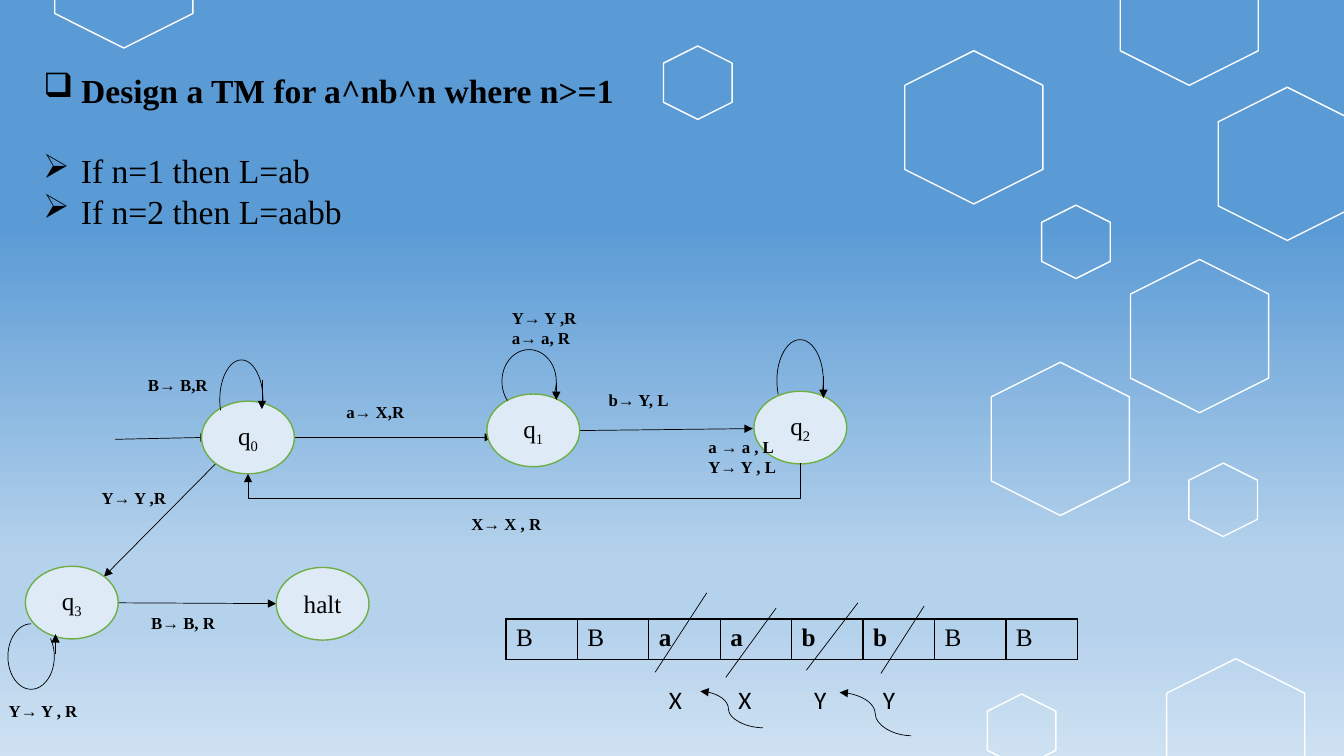
from dataclasses import dataclass
from lxml import etree
from pptx import Presentation
from pptx.dml.color import RGBColor
from pptx.enum import shapes, text
from pptx.oxml import ns
from pptx.util import Cm, Pt


@dataclass(frozen=True)
class Theme:
    ink: str = "000000"
    outline: str = "FFFFFF"
    state_fill: str = "DEEBF7"
    state_line: str = "70AD47"
    sky: tuple = ((0, "5B9BD5"), (30, "5B9BD5"), (74, "B5D2EC"), (83, "B5D2EC"), (100, "CEE1F2"))
    serif: str = "Times New Roman"
    sans: str = "Calibri"
    heading: int = 24
    body: int = 18
    label: int = 12
    thin: float = 0.5
    border: float = 1


THEME = Theme()

TITLE = "Design a TM for a^nb^n where n>=1"
EXAMPLES = ["If n=1 then L=ab", "If n=2 then L=aabb"]
HEXAGONS = {
    (3.86, 3.48): [(28.04, -1.52), (30.51, 2.39), (22.61, 1.47), (28.3, 6.73),
                   (24.79, 9.32), (29.21, 16.79), (1.19, -2.46)],
    (1.85, 1.73): [(24.82, 17.55), (29.9, 11.73), (16.66, 1.22), (26.19, 5.23)],
}
STATE_SIZE = (2.34, 1.83)
STATES = [("q", "0", 5.08, 10.11), ("q", "1", 12.27, 9.93), ("q", "2", 19, 9.86),
          ("q", "3", 0.64, 14.27), ("halt", "", 6.96, 14.3)]
TRANSITIONS = [(2.9, 11.07, 5.26, 11.02), (7.42, 11.02, 12.42, 11.02),
               (14.58, 10.85, 18.97, 10.8), (5.44, 11.68, 2.62, 14.53),
               (2.97, 15.19, 6.96, 15.21)]
LOOPS = [
    ((5.54, 9.07, 1.09, 2.01), (91.78, 9.25), False, (6.6, 9.58, 6.6, 10.31)),
    ((12.65, 8.81, 1.37, 1.6), (82.98, 17.32), False, (14.02, 9.65, 14.02, 10.08)),
    ((19.58, 8.56, 1.17, 2.06), (88.73, 18.67), False, (20.75, 9.47, 20.75, 10.03)),
    ((0.2, 15.72, 1.17, 1.65), (162, 133.8), True, (1.4, 16.48, 1.4, 15.98)),
]
RETURN_FRAME = (13.08, 4.85, 0.26, 13.92)
RETURN_BEND = 3.38
LABELS = [
    (["B→ B,R"], 3.48, 9.32, 2.39),
    (["a→ X,R"], 8.48, 10.01, 3.66),
    (["Y→ Y ,R a→ a, R"], 12.65, 7.62, 2.54),
    (["b→ Y, L"], 15.09, 9.7, 2.82),
    (["a → a , L", "Y→ Y , L"], 17.6, 10.87, 2.49),
    (["X→ X , R"], 11.63, 12.83, 4.7),
    (["Y→ Y ,R"], 2.31, 12.17, 2.54),
    (["Y→ Y , R"], -0.03, 17.53, 2.36),
    (["B→ B, R"], 3.56, 15.32, 2.29),
]
TAPE = "BBaabbBB"
STRIKES = [(17.81, 14.94, 16.51, 16.94), (19.56, 15.32, 18.29, 17.07),
           (21.62, 15.19, 20.32, 16.89), (23.29, 15.27, 22.2, 16.97)]
MARKS = [("X", 16.61), ("X", 18.36), ("Y", 20.27), ("Y", 22)]
MOVES = [((19.23, 18.34, 17.65, 17.42), 0.55), ((22.96, 18.54, 21.16, 17.45), 0.5)]


def color(value):
    return RGBColor.from_string(value)


def add_xml(parent, tag, **attributes):
    return etree.SubElement(parent, ns.qn(tag), attributes)


def style(font, size, bold=False, name=THEME.serif):
    font.name, font.size, font.bold = name, Pt(size), bold
    font.color.rgb = color(THEME.ink)


def paint_background(page):
    fill = page.background.fill
    fill.gradient()
    fill.gradient_angle = 270
    stops = page.element.find(".//" + ns.qn("a:gsLst"))
    for stop in list(stops):
        stops.remove(stop)
    for position, value in THEME.sky:
        stop = add_xml(stops, "a:gs", pos=str(position * 1000))
        add_xml(stop, "a:srgbClr", val=value)


def add_outline(page, kind, frame, line, width, fill=None):
    shape = page.shapes.add_shape(kind, *map(Cm, frame))
    shape.shadow.inherit = False
    if fill:
        shape.fill.solid()
        shape.fill.fore_color.rgb = color(fill)
    else:
        shape.fill.background()
    shape.line.color.rgb = color(line)
    shape.line.width = Pt(width)
    return shape


def add_line(page, ends, kind=shapes.MSO_CONNECTOR.STRAIGHT, arrow=True, bend=None):
    line = page.shapes.add_connector(kind, *map(Cm, ends))
    line.line.color.rgb = color(THEME.ink)
    line.line.width = Pt(THEME.thin)
    properties = line._element.spPr
    if arrow:
        add_xml(properties.find(ns.qn("a:ln")), "a:tailEnd", type="triangle")
    add_xml(properties, "a:effectLst")
    if bend:
        guides = properties.find(".//" + ns.qn("a:avLst"))
        add_xml(guides, "a:gd", name="adj1", fmla=f"val {round(bend * 100000)}")
    return line


def bullet(para, symbol):
    properties = para._p.get_or_add_pPr()
    properties.set("marL", str(Cm(0.95)))
    properties.set("indent", str(-Cm(0.95)))
    add_xml(properties, "a:buChar", char=symbol)


def add_text(page, lines, frame, size, bold=False, name=THEME.serif, symbol=None):
    box = page.shapes.add_textbox(*map(Cm, frame))
    frame_text = box.text_frame
    frame_text.word_wrap = True
    frame_text.text = "\n".join(lines)
    for para in frame_text.paragraphs:
        if symbol:
            bullet(para, symbol)
        style(para.font, size, bold, name)


def add_title(page):
    title = page.shapes.title
    title.left, title.top, title.width, title.height = map(Cm, (0.84, 1.63, 15.01, 1.27))
    title.text_frame.text = TITLE
    title.text_frame.auto_size = text.MSO_AUTO_SIZE.NONE
    title.text_frame.vertical_anchor = text.MSO_ANCHOR.TOP
    para = title.text_frame.paragraphs[0]
    para.alignment = text.PP_ALIGN.LEFT
    bullet(para, "❑")
    style(para.font, THEME.heading, True)


def add_state(page, name, index, left, top):
    state = add_outline(page, shapes.MSO_SHAPE.OVAL, (left, top, *STATE_SIZE),
                        THEME.state_line, THEME.border, THEME.state_fill)
    state.text_frame.vertical_anchor = text.MSO_ANCHOR.MIDDLE
    para = state.text_frame.paragraphs[0]
    para.alignment = text.PP_ALIGN.CENTER
    style(para.font, THEME.body)
    for content, baseline in ((name, 0), (index, -25000)):
        if content:
            span = para.add_run()
            span.text = content
            span.font.color.rgb = color(THEME.ink)
            if baseline:
                span._r.get_or_add_rPr().set("baseline", str(baseline))


def add_loop(page, frame, angles, flipped, arrow):
    arc = add_outline(page, shapes.MSO_SHAPE.ARC, frame, THEME.ink, THEME.thin)
    for index, angle in enumerate(angles):
        arc.adjustments[index] = angle
    if flipped:
        arc._element.spPr.find(ns.qn("a:xfrm")).set("flipH", "1")
    add_line(page, arrow)


def add_tape(page):
    frame = map(Cm, (12.75, 15.6, 1.8 * len(TAPE), 1.02))
    table = page.shapes.add_table(1, len(TAPE), *frame).table
    table.first_row = table.horz_banding = False
    for cell, symbol in zip(table.rows[0].cells, TAPE):
        cell.text = symbol
        style(cell.text_frame.paragraphs[0].font, THEME.body, symbol != "B")
        properties = cell._tc.get_or_add_tcPr()
        for side in ("L", "R", "T", "B"):
            edge = add_xml(properties, f"a:ln{side}", w=str(Pt(THEME.border)))
            add_xml(add_xml(edge, "a:solidFill"), "a:srgbClr", val=THEME.ink)
        cell.fill.background()


def main():
    deck = Presentation()
    deck.slide_width, deck.slide_height = Cm(33.87), Cm(19.05)
    page = deck.slides.add_slide(deck.slide_layouts[5])
    paint_background(page)
    for size, corners in HEXAGONS.items():
        for corner in corners:
            add_outline(page, shapes.MSO_SHAPE.HEXAGON, (*corner, *size),
                        THEME.outline, THEME.border).rotation = 90
    add_title(page)
    add_text(page, EXAMPLES, (0.84, 3.66, 15.01, 2.3), THEME.heading, symbol="➢")
    add_tape(page)
    for ends in TRANSITIONS:
        add_line(page, ends)
    for state in STATES:
        add_state(page, *state)
    for loop in LOOPS:
        add_loop(page, *loop)
    left, top, width, height = RETURN_FRAME
    back = add_line(page, (left, top, left + width, top + height),
                    shapes.MSO_CONNECTOR.ELBOW, bend=RETURN_BEND)
    back._element.spPr.find(ns.qn("a:xfrm")).set("rot", "5400000")
    for lines, left, top, width in LABELS:
        add_text(page, lines, (left, top, width, 0.76 * len(lines)), THEME.label, True)
    for ends in STRIKES:
        add_line(page, ends, arrow=False)
    for mark, left in MARKS:
        add_text(page, [mark], (left, 17.12, 1, 1.02), THEME.body, name=THEME.sans)
    for ends, bend in MOVES:
        add_line(page, ends, shapes.MSO_CONNECTOR.CURVE, bend=bend)
    deck.save("out.pptx")


if __name__ == "__main__":
    main()
